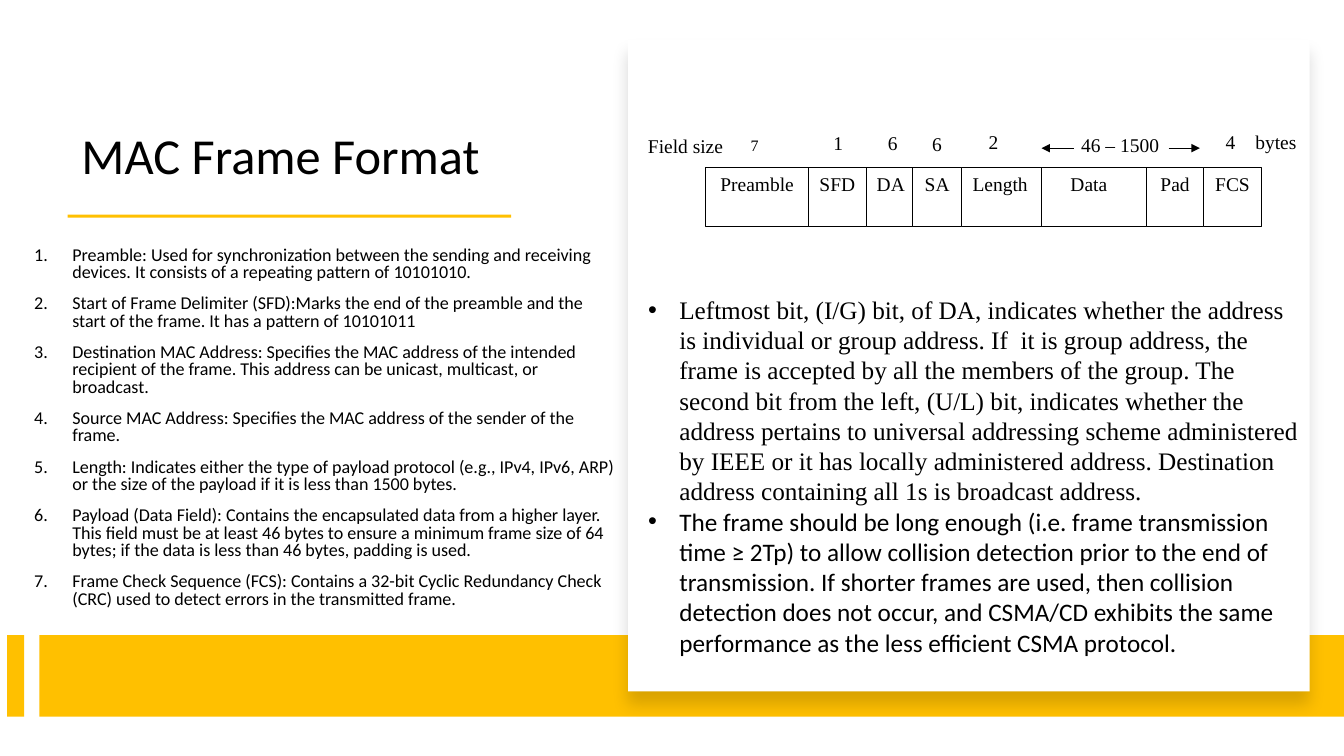
from dataclasses import dataclass
from typing import Optional

from lxml.etree import SubElement
from pptx import Presentation
from pptx.dml.color import RGBColor
from pptx.enum.shapes import MSO_CONNECTOR as Link, MSO_SHAPE as Form
from pptx.enum.text import MSO_ANCHOR as Anchor, PP_ALIGN as Align
from pptx.oxml.ns import qn
from pptx.util import Pt

PX = 9144  # EMU in one px, 100 px to the inch
BLACK = RGBColor(0x00, 0x00, 0x00)
WHITE = RGBColor(0xFF, 0xFF, 0xFF)
GOLD = RGBColor(0xFF, 0xC0, 0x00)
SANS, SERIF = "Calibri", "Times New Roman"
ROW_TOP, ROW_H = 166, 59


@dataclass
class Box:
    left: int
    top: int
    width: int
    height: int

    def emu(self) -> tuple:
        return tuple(n * PX for n in (self.left, self.top, self.width, self.height))


@dataclass
class Style:
    size: float
    font: str = SANS
    align: Align = Align.LEFT
    line: object = None
    before: float = 0
    after: float = 0
    mark: Optional[str] = None
    indent: int = 0


@dataclass
class Label:
    text: str
    left: int
    top: int
    width: int
    size: float = 13.9


@dataclass
class Cell:
    text: str
    left: int
    width: int


LABELS = [
    Label("Field size", 623, 128, 114),
    Label("46 – 1500", 1034, 127, 154),
    Label("4", 1207, 124, 27),
    Label("2", 972, 124, 27),
    Label("6", 916, 126, 27),
    Label("6", 872, 125, 27),
    Label("1", 818, 125, 27),
    Label("7", 735, 130, 27, 11.4),
    Label("bytes", 1227, 124, 77),
]
# Back to front: neighbours overlap a little
CELLS = [
    Cell("Preamble", 700, 102),
    Cell("SFD", 802, 57),
    Cell("Data", 1023, 114),
    Cell("Length", 951, 82),
    Cell("FCS", 1194, 57),
    Cell("Pad", 1137, 57),
    Cell("DA", 859, 49),
    Cell("SA", 905, 49),
]
FIELDS = [
    "Preamble: Used for synchronization between the sending and receiving devices. "
    "It consists of a repeating pattern of 10101010.",
    "Start of Frame Delimiter (SFD):Marks the end of the preamble and the start of "
    "the frame. It has a pattern of 10101011",
    "Destination MAC Address: Specifies the MAC address of the intended recipient of "
    "the frame. This address can be unicast, multicast, or broadcast.",
    "Source MAC Address: Specifies the MAC address of the sender of the frame.",
    "Length: Indicates either the type of payload protocol (e.g., IPv4, IPv6, ARP) or "
    "the size of the payload if it is less than 1500 bytes.",
    "Payload (Data Field): Contains the encapsulated data from a higher layer. This "
    "field must be at least 46 bytes to ensure a minimum frame size of 64 bytes; if "
    "the data is less than 46 bytes, padding is used.",
    "Frame Check Sequence (FCS): Contains a 32-bit Cyclic Redundancy Check (CRC) used "
    "to detect errors in the transmitted frame.",
]
BITS = (
    "Leftmost bit, (I/G) bit, of DA, indicates whether the address is individual or "
    "group address. If  it is group address, the frame is accepted by all the members "
    "of the group. The second bit from the left, (U/L) bit, indicates whether the "
    "address pertains to universal addressing scheme administered by IEEE or it has "
    "locally administered address. Destination address containing all 1s is broadcast "
    "address."
)
LENGTH = (
    "The frame should be long enough (i.e. frame transmission time ≥ 2Tp) to allow "
    "collision detection prior to the end of transmission. If shorter frames are used, "
    "then collision detection does not occur, and CSMA/CD exhibits the same performance "
    "as the less efficient CSMA protocol."
)


def write(frame, items: list[tuple[str, Style]], anchor=Anchor.TOP, side: int = 10) -> None:
    frame.word_wrap = True
    frame.vertical_anchor = anchor
    frame.margin_left = frame.margin_right = side * PX
    for i, (text, style) in enumerate(items):
        para = frame.paragraphs[0] if i == 0 else frame.add_paragraph()
        para.text = text
        para.alignment = style.align
        para.line_spacing = style.line
        para.space_before, para.space_after = Pt(style.before), Pt(style.after)
        if style.mark:
            props = para._p.get_or_add_pPr()
            props.set("marL", str(style.indent * PX))
            props.set("indent", str(-style.indent * PX))
            if style.mark == "1.":
                SubElement(props, qn("a:buFont"), typeface="+mj-lt")
                SubElement(props, qn("a:buAutoNum"), type="arabicPeriod")
            else:
                SubElement(props, qn("a:buFont"), typeface="Arial")
                SubElement(props, qn("a:buChar"), char=style.mark)
        font = para.font
        font.name, font.size = style.font, Pt(style.size)
        font.color.rgb = BLACK


def add_text(slide, box: Box, items: list[tuple[str, Style]], anchor=Anchor.TOP, side: int = 10) -> None:
    write(slide.shapes.add_textbox(*box.emu()).text_frame, items, anchor, side)


def add_rect(slide, box: Box, fill: RGBColor, edge: bool = False):
    rect = slide.shapes.add_shape(Form.RECTANGLE, *box.emu())
    rect.shadow.inherit = False
    rect.fill.solid()
    rect.fill.fore_color.rgb = fill
    if edge:
        rect.line.color.rgb = BLACK
        rect.line.width = Pt(0.75)
    else:
        rect.line.fill.background()
    return rect


def add_shade(shape) -> None:
    effects = shape._element.spPr.find(qn("a:effectLst"))
    shade = SubElement(effects, qn("a:outerShdw"), blurRad=str(Pt(11)), dist=str(Pt(10)),
                       dir="5400000", algn="t", rotWithShape="0")
    color = SubElement(shade, qn("a:srgbClr"), val=str(BLACK))
    SubElement(color, qn("a:alpha"), val="15000")


def add_arrow(slide, start: int, end: int, y: int) -> None:
    arrow = slide.shapes.add_connector(Link.STRAIGHT, start * PX, y * PX, end * PX, y * PX)
    arrow.line.color.rgb = BLACK
    arrow.line.width = Pt(0.75)
    SubElement(arrow.line._get_or_add_ln(), qn("a:tailEnd"), type="triangle")
    SubElement(arrow._element.spPr, qn("a:effectLst"))


def main() -> None:
    deck = Presentation()
    deck.slide_width, deck.slide_height = 1333 * PX, 750 * PX
    slide = deck.slides.add_slide(deck.slide_layouts[6])

    # Title and rule
    add_text(slide, Box(71, 58, 468, 131), [("MAC Frame Format", Style(36, line=0.9))], Anchor.BOTTOM)
    add_rect(slide, Box(67, 213, 440, 3), GOLD)

    # Numbered list of fields
    step = Style(12.9, line=0.8, before=10, mark="1.", indent=38)
    add_text(slide, Box(24, 222, 597, 405), [(text, step) for text in FIELDS], Anchor.MIDDLE)

    # Gold band and white card
    for left, width in ((7, 17), (39, 1294)):
        add_rect(slide, Box(left, 630, width, 81), GOLD)
    add_shade(add_rect(slide, Box(623, 39, 676, 647), WHITE))

    # Frame diagram: sizes, cells, arrows
    for label in LABELS:
        style = Style(label.size, SERIF, Align.CENTER, after=6.5)
        add_text(slide, Box(label.left, label.top, label.width, ROW_H), [(label.text, style)], side=0)
    name = Style(13.9, SERIF, Align.CENTER, after=6.5)
    for cell in CELLS:
        rect = add_rect(slide, Box(cell.left, ROW_TOP, cell.width, ROW_H), WHITE, edge=True)
        write(rect.text_frame, [(cell.text, name)], side=0)
    for start, end in ((1065, 1033), (1159, 1190)):
        add_arrow(slide, start, end, 147)

    # Notes on the card
    notes = [(text, Style(18, font, line=Pt(21.6), mark="•", indent=31))
             for text, font in ((BITS, SERIF), (LENGTH, SANS))]
    add_text(slide, Box(633, 287, 666, 404), notes)

    deck.save("out.pptx")


if __name__ == "__main__":
    main()
